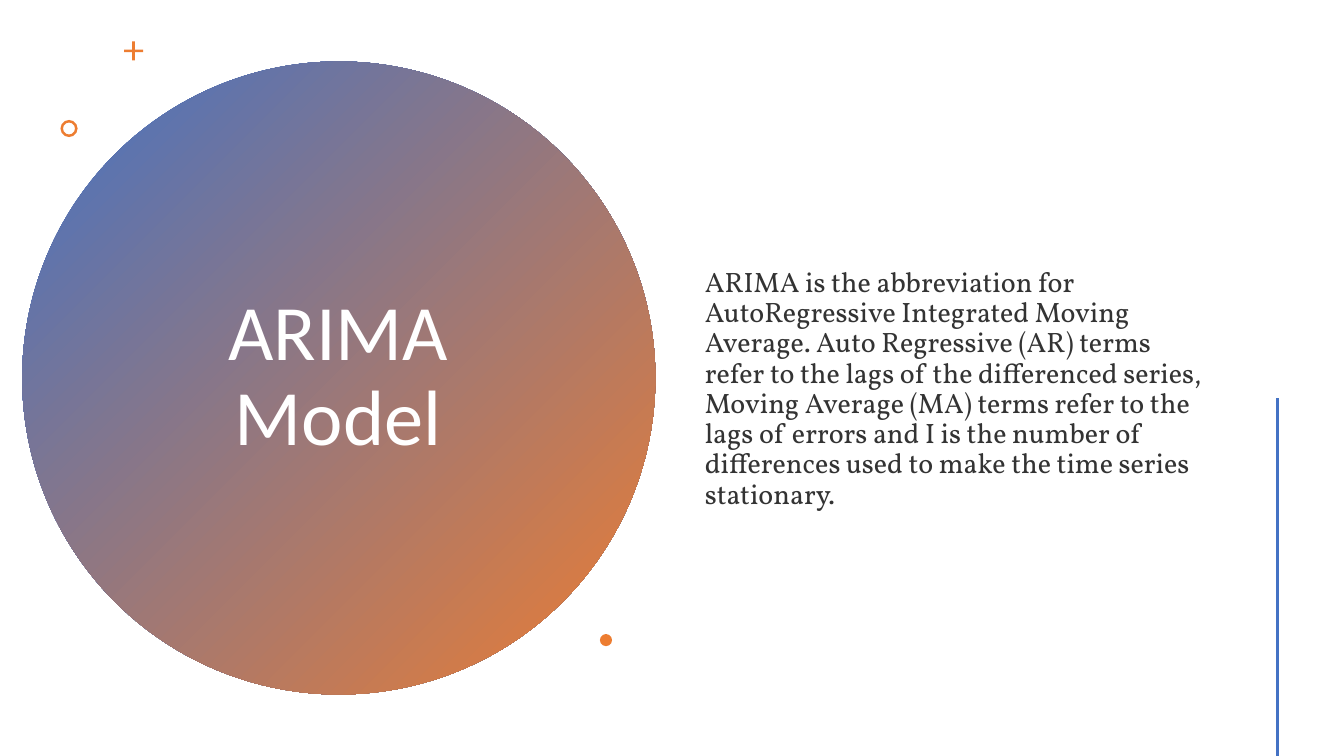
"""Build the ARIMA Model slide: a gradient circle title beside a definition."""
from lxml.etree import SubElement
from pptx import Presentation
from pptx.dml.color import RGBColor
from pptx.enum.shapes import MSO_CONNECTOR, MSO_SHAPE
from pptx.enum.text import MSO_ANCHOR, PP_ALIGN
from pptx.oxml.ns import qn
from pptx.util import Inches, Pt

THEME = {
    "blue": RGBColor(0x44, 0x72, 0xC4),
    "orange": RGBColor(0xED, 0x7D, 0x31),
    "white": RGBColor(0xFF, 0xFF, 0xFF),
    "ink": RGBColor(0x33, 0x33, 0x33),
    "title_font": "Calibri",
    "body_font": "Vollkorn",
    "title_size": Pt(56),
    "body_size": Pt(20),
}


def add_round(slide, kind, left, top, size):
    """Add a square-framed shape in the accent colour, without outline."""
    shape = slide.shapes.add_shape(kind, Inches(left), Inches(top), Inches(size), Inches(size))
    shape.shadow.inherit = False
    shape.line.fill.background()
    shape.fill.solid()
    shape.fill.fore_color.rgb = THEME["orange"]
    return shape


def fill_placeholder(holder, frame, text, font, size, color, align):
    """Place a placeholder and set its single paragraph."""
    holder.left, holder.top, holder.width, holder.height = map(Inches, frame)
    holder.text_frame.text = text
    holder.text_frame.word_wrap = True
    holder.text_frame.vertical_anchor = MSO_ANCHOR.MIDDLE
    paragraph = holder.text_frame.paragraphs[0]
    paragraph.alignment = align
    paragraph.line_spacing = 0.9
    paragraph.space_before = Pt(0)
    paragraph.font.name = font
    paragraph.font.size = size
    paragraph.font.color.rgb = color
    return paragraph


prs = Presentation()
prs.slide_width, prs.slide_height = Inches(13.33), Inches(7.5)
slide = prs.slides.add_slide(prs.slide_layouts[1])

title = slide.shapes.title
fill_placeholder(title, (1.36, 1.41, 3.99, 4.67), "ARIMA Model",
                 THEME["title_font"], THEME["title_size"], THEME["white"], PP_ALIGN.CENTER)

definition = fill_placeholder(
    slide.placeholders[1], (6.89, 0.67, 5.22, 6.38),
    "ARIMA is the abbreviation for AutoRegressive Integrated Moving Average. "
    "Auto Regressive (AR) terms refer to the lags of the differenced series, "
    "Moving Average (MA) terms refer to the lags of errors and I is the number of "
    "differences used to make the time series stationary.",
    THEME["body_font"], THEME["body_size"], THEME["ink"], PP_ALIGN.LEFT)
definition_format = definition._p.get_or_add_pPr()
definition_format.set("marL", "0")
definition_format.set("indent", "0")
definition_format.insert_element_before(
    definition_format.makeelement(qn("a:buNone")), "a:tabLst", "a:defRPr", "a:extLst")

circle = add_round(slide, MSO_SHAPE.OVAL, 0.22, 0.61, 6.28)
circle.fill.gradient()
circle.fill.gradient_angle = 315
for stop, color in zip(circle.fill.gradient_stops, ("blue", "orange")):
    stop.color.rgb = THEME[color]
title.element.addprevious(circle.element)

plus = add_round(slide, MSO_SHAPE.CROSS, 1.23, 0.41, 0.19)
plus.adjustments[0] = 0.43
ring = add_round(slide, MSO_SHAPE.DONUT, 0.6, 1.19, 0.17)
ring.adjustments[0] = 0.15
add_round(slide, MSO_SHAPE.OVAL, 5.95, 6.29, 0.12)

side_rule = slide.shapes.add_connector(
    MSO_CONNECTOR.STRAIGHT, Inches(12.67), Inches(3.95), Inches(12.67), Inches(7.5))
side_rule.line.color.rgb = THEME["blue"]
side_rule.line.width = Pt(2)
SubElement(side_rule.element.spPr, qn("a:effectLst"))

prs.save("out.pptx")
